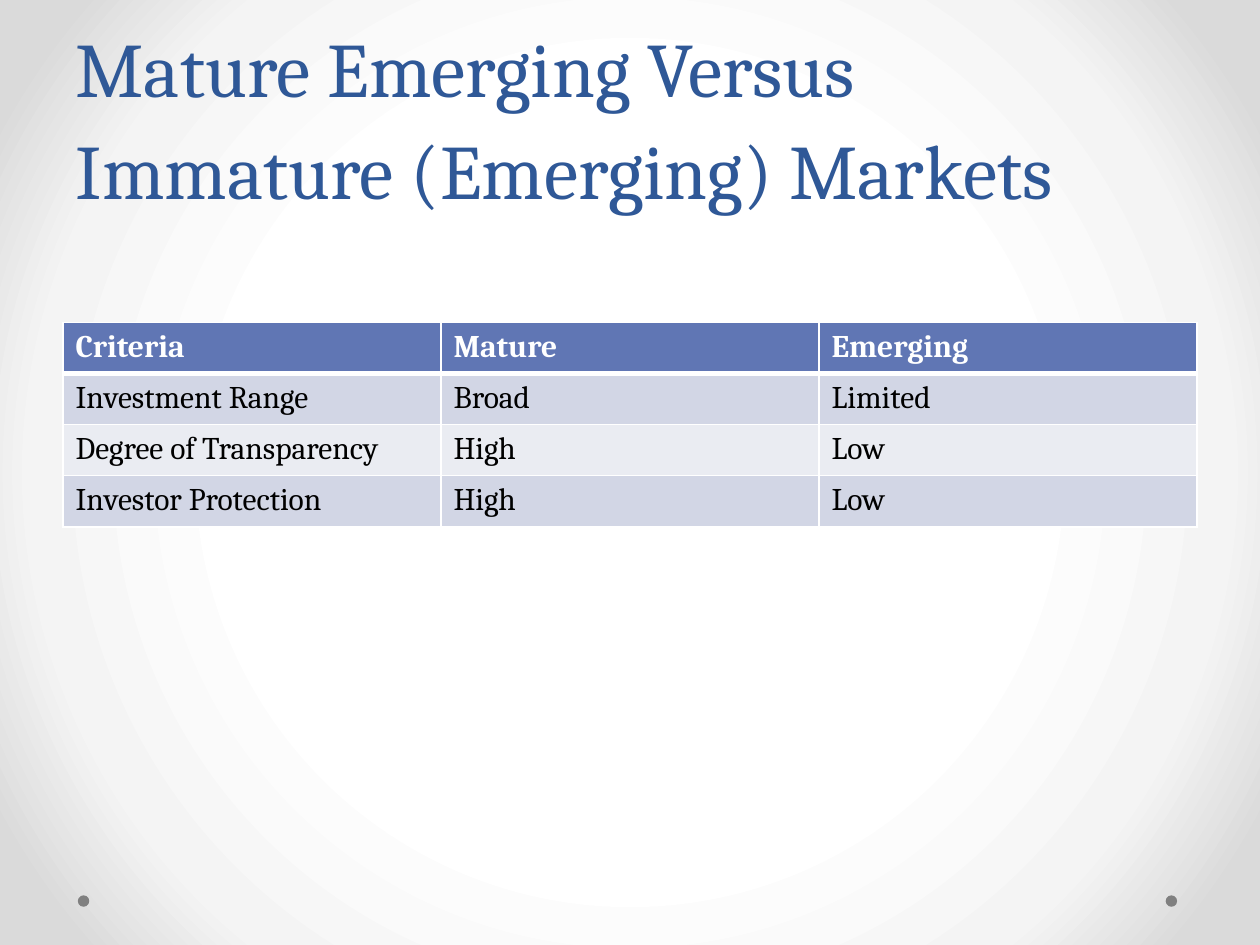
from pptx import Presentation
from pptx.dml.color import RGBColor
from pptx.enum.shapes import MSO_SHAPE
from pptx.enum.text import MSO_ANCHOR, MSO_AUTO_SIZE, PP_ALIGN
from pptx.oxml import parse_xml
from pptx.oxml.ns import nsdecls
from pptx.util import Cm, Pt

OVAL = MSO_SHAPE.OVAL
BOTTOM = MSO_ANCHOR.BOTTOM
FIXED = MSO_AUTO_SIZE.NONE
LEFT = PP_ALIGN.LEFT
FACE = "Cambria"
WHITE, BLACK, NAVY, GREY = "FFFFFF", "000000", "2F5897", "808080"
HEAD, BANDS = "6076B4", ("D2D6E5", "EAECF2")
STOPS = ((50, WHITE), (76, "F4F4F4"), (92, "DADADA"))
ROWS = (
    ("Criteria", "Mature", "Emerging"),
    ("Investment Range", "Broad", "Limited"),
    ("Degree of Transparency", "High", "Low"),
    ("Investor Protection", "High", "Low"),
)


def paint(target, shade):
    """Give a fill a solid colour from a hex string."""
    target.solid()
    target.fore_color.rgb = RGBColor.from_string(shade)


def style(font, size, shade, bold=False):
    """Set face, size, colour and weight of a font."""
    font.name, font.size, font.bold = FACE, Pt(size), bold
    paint(font.fill, shade)


def add_glow(slide):
    """Set a round gradient as the slide background."""
    stops = "".join(
        f'<a:gs pos="{pos * 1000}"><a:srgbClr val="{shade}"/></a:gs>'
        for pos, shade in STOPS
    )
    slide.element.cSld.insert(0, parse_xml(
        f'<p:bg {nsdecls("p", "a")}><p:bgPr><a:gradFill rotWithShape="1">'
        f'<a:gsLst>{stops}</a:gsLst><a:path path="circle">'
        '<a:fillToRect l="50000" t="50000" r="50000" b="50000"/></a:path>'
        '</a:gradFill><a:effectLst/></p:bgPr></p:bg>'
    ))


def add_dots(slide, left, top, width, size):
    """Place one dot at each end of a strip."""
    for start in (left, left + width - size):
        dot = slide.shapes.add_shape(OVAL, Cm(start), Cm(top), Cm(size), Cm(size))
        dot.shadow.inherit = False
        paint(dot.fill, GREY)
        dot.line.fill.background()


def add_title(slide, left, top, width, height, text):
    """Place and format the title placeholder."""
    title = slide.shapes.title
    title.left, title.top = Cm(left), Cm(top)
    title.width, title.height = Cm(width), Cm(height)
    frame = title.text_frame
    frame.text = text
    frame.word_wrap = True
    frame.auto_size = FIXED
    frame.vertical_anchor = BOTTOM
    para = frame.paragraphs[0]
    para.alignment = LEFT
    para.line_spacing = Pt(58)
    style(para.runs[0].font, 44, NAVY)


def add_edges(cell, top, bottom):
    """Draw white cell borders with the given top and bottom widths."""
    props = cell._tc.get_or_add_tcPr()
    for spot, (side, width) in enumerate(
        (("L", 1), ("R", 1), ("T", top), ("B", bottom))
    ):
        props.insert(spot, parse_xml(
            f'<a:ln{side} {nsdecls("a")} w="{Pt(width)}"><a:solidFill>'
            f'<a:srgbClr val="{WHITE}"/></a:solidFill></a:ln{side}>'
        ))


def add_grid(slide, left, top, width, height, rows):
    """Place a banded table with a heavy line under its header."""
    table = slide.shapes.add_table(
        len(rows), len(rows[0]), Cm(left), Cm(top), Cm(width), Cm(height)
    ).table
    for r, row in enumerate(rows):
        for c, text in enumerate(row):
            cell = table.cell(r, c)
            cell.text = text
            paint(cell.fill, BANDS[(r - 1) % 2] if r else HEAD)
            font = cell.text_frame.paragraphs[0].runs[0].font
            style(font, 18, BLACK if r else WHITE, r == 0)
            add_edges(cell, 3 if r == 1 else 1, 3 if r == 0 else 1)


def main():
    """Build and save the slide."""
    deck = Presentation()
    deck.slide_width, deck.slide_height = Cm(25.4), Cm(19.05)
    slide = deck.slides.add_slide(deck.slide_layouts[5])
    add_glow(slide)
    add_dots(slide, 1.57, 18.05, 22.16, 0.23)
    add_title(slide, 1.27, 0, 22.86, 4.45,
              "Mature Emerging Versus Immature (Emerging) Markets")
    add_grid(slide, 1.27, 6.5, 22.86, 4.12, ROWS)
    deck.save("out.pptx")


if __name__ == "__main__":
    main()
